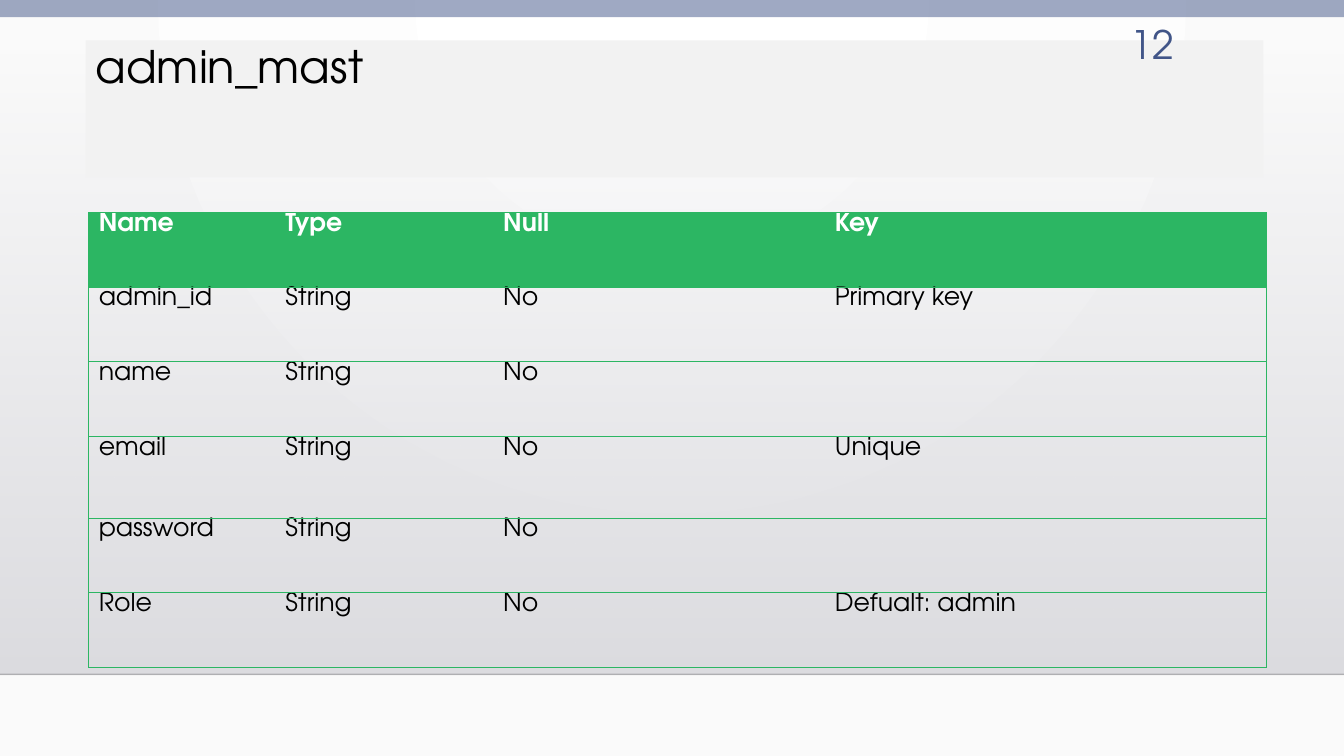
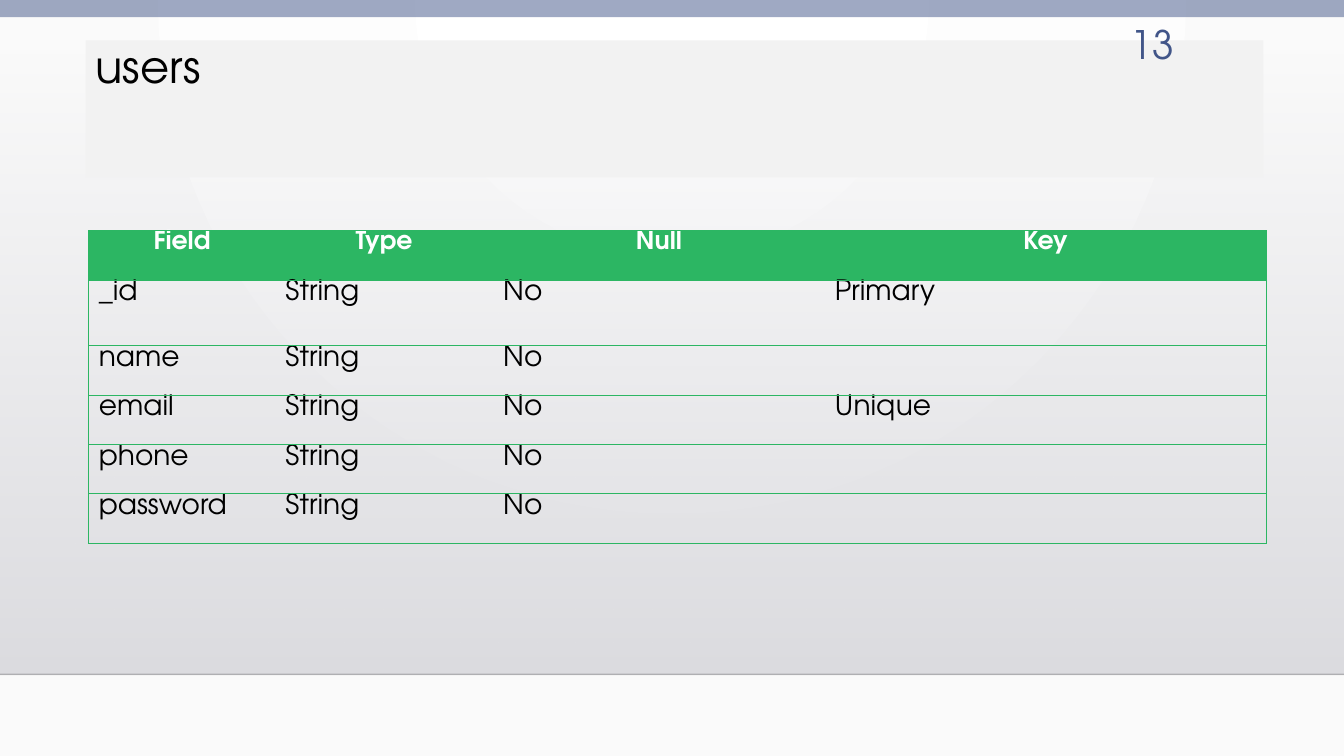
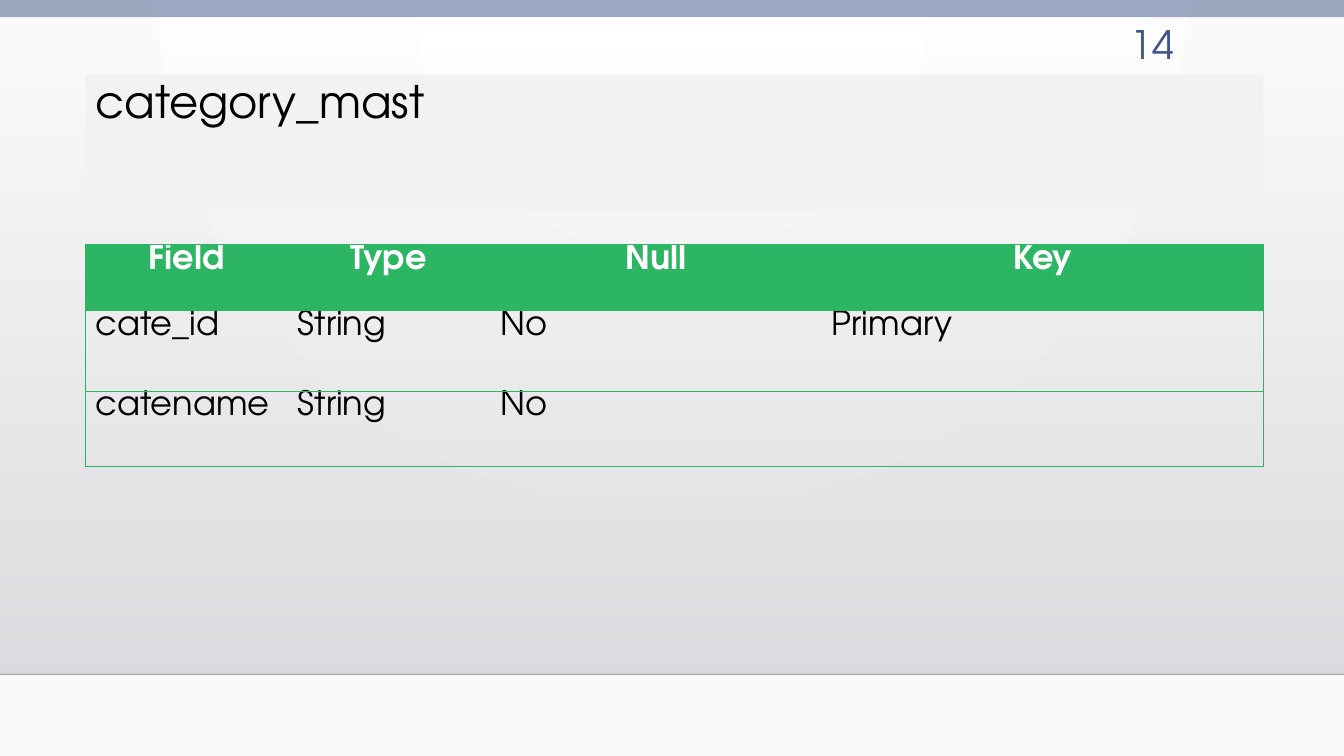
"""Three slides that describe the database tables of an application."""
from lxml import etree
from pptx import Presentation
from pptx.dml.color import RGBColor
from pptx.enum import shapes, text
from pptx.oxml.ns import qn
from pptx.util import Inches, Pt

FONT = "TeX Gyre Adventor"
GREEN = RGBColor(0x2C, 0xB6, 0x63)
BLUE = RGBColor(0x41, 0x55, 0x88)
PALE = RGBColor(0xF2, 0xF2, 0xF2)
WHITE = RGBColor(0xFF, 0xFF, 0xFF)
OFF_WHITE = RGBColor(0xFA, 0xFA, 0xFA)
MIST = RGBColor(0xDC, 0xDC, 0xE0)
SILVER = RGBColor(0xDE, 0xDE, 0xE2)
BLACK = RGBColor(0x00, 0x00, 0x00)
NO_GRID_STYLE = "{2D5ABB26-0587-4C30-8999-92F81FD0307C}"
SLIDE_WIDTH = 13.33
TABLE_WIDTH = 11.68

PAGES = [
    dict(number="12", title="admin_mast", title_top=0.4, table_at=(0.88, 2.11),
         columns=[1.85, 2.16, 3.29, 4.38], heights=[0.74, 0.74, 0.74, 0.81, 0.74, 0.74],
         head_size=18, body_size=18, head_align=text.PP_ALIGN.LEFT,
         rows=[["Name", "Type", "Null", "Key"],
               ["admin_id", "String", "No", "Primary key"],
               ["name", "String", "No", ""],
               ["email", "String", "No", "Unique"],
               ["password", "String", "No", ""],
               ["Role", "String", "No", "Defualt: admin"]]),
    dict(number="13", title="users", title_top=0.4, table_at=(0.88, 2.29),
         columns=[1.85, 2.16, 3.29, 4.38], heights=[0.49, 0.65, 0.49, 0.49, 0.49, 0.49],
         head_size=18, body_size=20, head_align=text.PP_ALIGN.CENTER,
         rows=[["Field", "Type", "Null", "Key"],
               ["_id", "String", "No", "Primary"],
               ["name", "String", "No", ""],
               ["email", "String", "No", "Unique"],
               ["phone", "String", "No", ""],
               ["password", "String", "No", ""]]),
    dict(number="14", title="category_mast", title_top=0.74, table_at=(0.85, 2.43),
         columns=[2, 2.01, 3.29, 4.38], heights=[0.65, 0.8, 0.75],
         head_size=24, body_size=24, head_align=text.PP_ALIGN.CENTER,
         rows=[["Field", "Type", "Null", "Key"],
               ["cate_id", "String", "No", "Primary"],
               ["catename", "String", "No", ""]]),
]


def set_opacity(shape, percent):
    """Make the first colour of a shape partly transparent."""
    color = next(shape._element.spPr.iter(qn("a:srgbClr")))
    etree.SubElement(color, qn("a:alpha"), val=str(percent * 1000))


def add_span(para, words, size, color, bold=False):
    """Add one formatted run to a paragraph."""
    span = para.add_run()
    span.text = words
    span.font.name = FONT
    span.font.size = Pt(size)
    span.font.bold = bold
    span.font.color.rgb = color


deck = Presentation()
deck.slide_width = Inches(SLIDE_WIDTH)
deck.slide_height = Inches(7.5)

backdrop = deck.slide_master.background.fill
backdrop.gradient()
for stop, color in zip(backdrop.gradient_stops, (WHITE, OFF_WHITE)):
    stop.color.rgb = color
gradient = next(deck.slide_master.element.cSld.iter(qn("a:gradFill")))
gradient.remove(gradient.find(qn("a:lin")))
circle = etree.SubElement(gradient, qn("a:path"), path="circle")
etree.SubElement(circle, qn("a:fillToRect"), l="43000", t="0", r="43000", b="100000")

for content in PAGES:
    page = deck.slides.add_slide(deck.slide_layouts[6])

    haze = page.shapes.add_shape(shapes.MSO_SHAPE.RECTANGLE, 0, Inches(0.51),
                                 Inches(SLIDE_WIDTH), Inches(6.18))
    haze.fill.gradient()
    haze.fill.gradient_angle = 270
    for stop, color in zip(haze.fill.gradient_stops, (MIST, SILVER)):
        stop.color.rgb = color
    set_opacity(haze, 0)

    rule = page.shapes.add_connector(shapes.MSO_CONNECTOR.STRAIGHT, 0, Inches(6.69),
                                     Inches(SLIDE_WIDTH), Inches(6.69))
    rule.line.color.rgb = BLACK
    rule.line.width = Pt(1)
    set_opacity(rule, 20)
    etree.SubElement(rule._element.spPr, qn("a:effectLst"))

    band = page.shapes.add_shape(shapes.MSO_SHAPE.RECTANGLE, 0, 0,
                                 Inches(SLIDE_WIDTH), Inches(0.17))
    band.fill.solid()
    band.fill.fore_color.rgb = BLUE
    set_opacity(band, 50)

    title = page.shapes.add_shape(shapes.MSO_SHAPE.RECTANGLE, Inches(0.85),
                                  Inches(content["title_top"]),
                                  Inches(TABLE_WIDTH), Inches(1.36))
    title.fill.solid()
    title.fill.fore_color.rgb = PALE
    title.text_frame.vertical_anchor = text.MSO_ANCHOR.TOP
    para = title.text_frame.paragraphs[0]
    para.alignment = text.PP_ALIGN.LEFT
    para.line_spacing = 0.9
    add_span(para, content["title"], 32, BLACK)

    for box in (haze, band, title):
        box.line.fill.background()
        box.shadow.inherit = False

    rows, heights = content["rows"], content["heights"]
    left, top = content["table_at"]
    frame = page.shapes.add_table(len(rows), len(rows[0]), Inches(left), Inches(top),
                                  Inches(TABLE_WIDTH), Inches(sum(heights)))
    table = frame.table
    table.horz_banding = False
    table._tbl.tblPr.find(qn("a:tableStyleId")).text = NO_GRID_STYLE
    for column, width in zip(table.columns, content["columns"]):
        column.width = Inches(width)
    for r, (row, height) in enumerate(zip(rows, heights)):
        table.rows[r].height = Inches(height)
        for c, words in enumerate(row):
            cell = table.cell(r, c)
            cell.margin_top = cell.margin_bottom = 0
            edges = [("a:lnL", c == 0), ("a:lnR", c == len(row) - 1),
                     ("a:lnT", True), ("a:lnB", True)]
            for tag, drawn in edges:
                if drawn:
                    edge = etree.SubElement(cell._tc.get_or_add_tcPr(), qn(tag), w=str(Pt(0.75)))
                    paint = etree.SubElement(edge, qn("a:solidFill"))
                    etree.SubElement(paint, qn("a:srgbClr"), val=str(GREEN))
            para = cell.text_frame.paragraphs[0]
            if r == 0:
                cell.fill.solid()
                cell.fill.fore_color.rgb = GREEN
                para.alignment = content["head_align"]
                add_span(para, words, content["head_size"], WHITE, bold=True)
            else:
                cell.fill.background()
                if words:
                    add_span(para, words, content["body_size"], BLACK)

    number = page.shapes.add_textbox(Inches(10.85), Inches(0.15), Inches(0.89), Inches(0.55))
    number.text_frame.word_wrap = True
    para = number.text_frame.paragraphs[0]
    para.alignment = text.PP_ALIGN.RIGHT
    add_span(para, content["number"], 28, BLUE)

deck.save("out.pptx")
